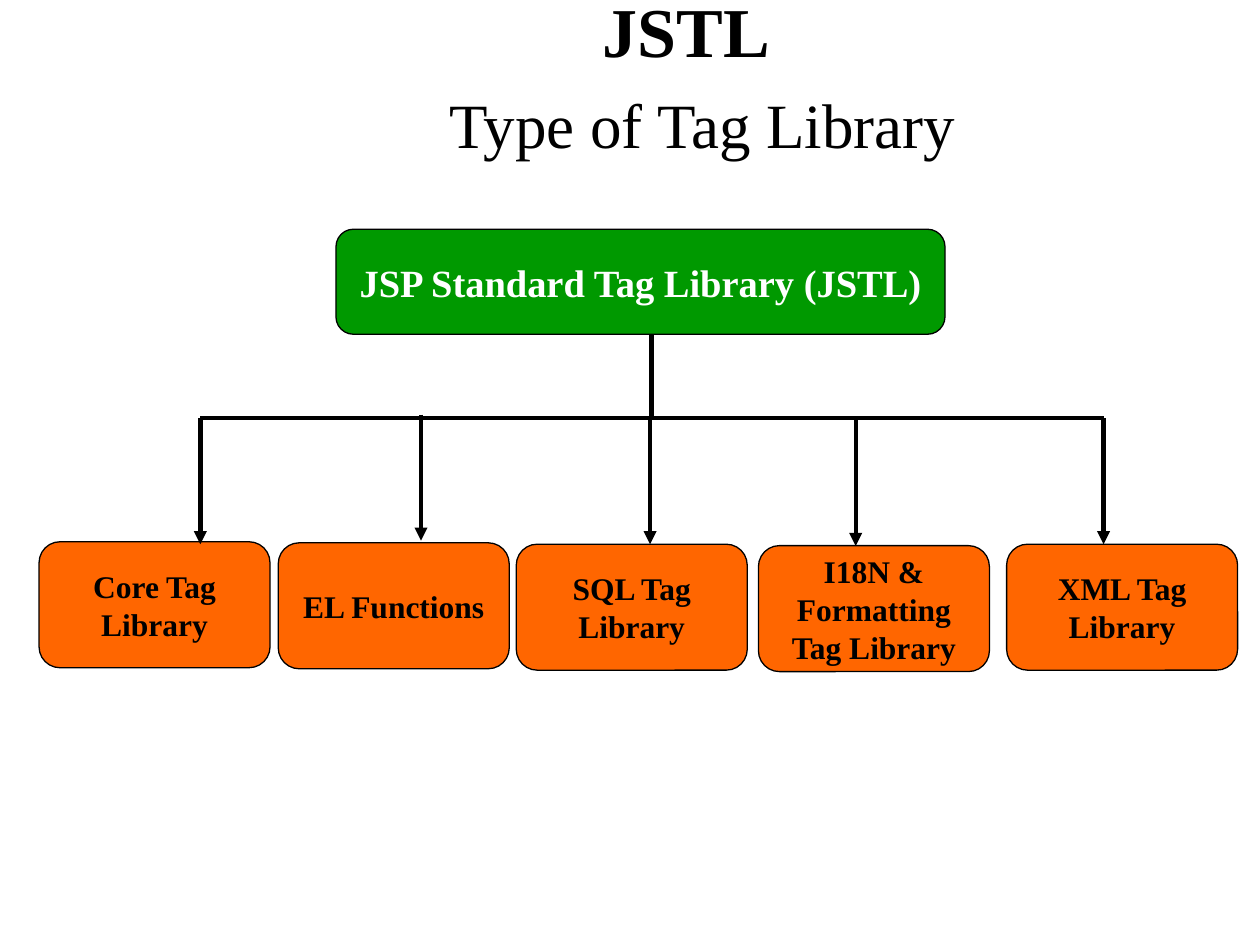
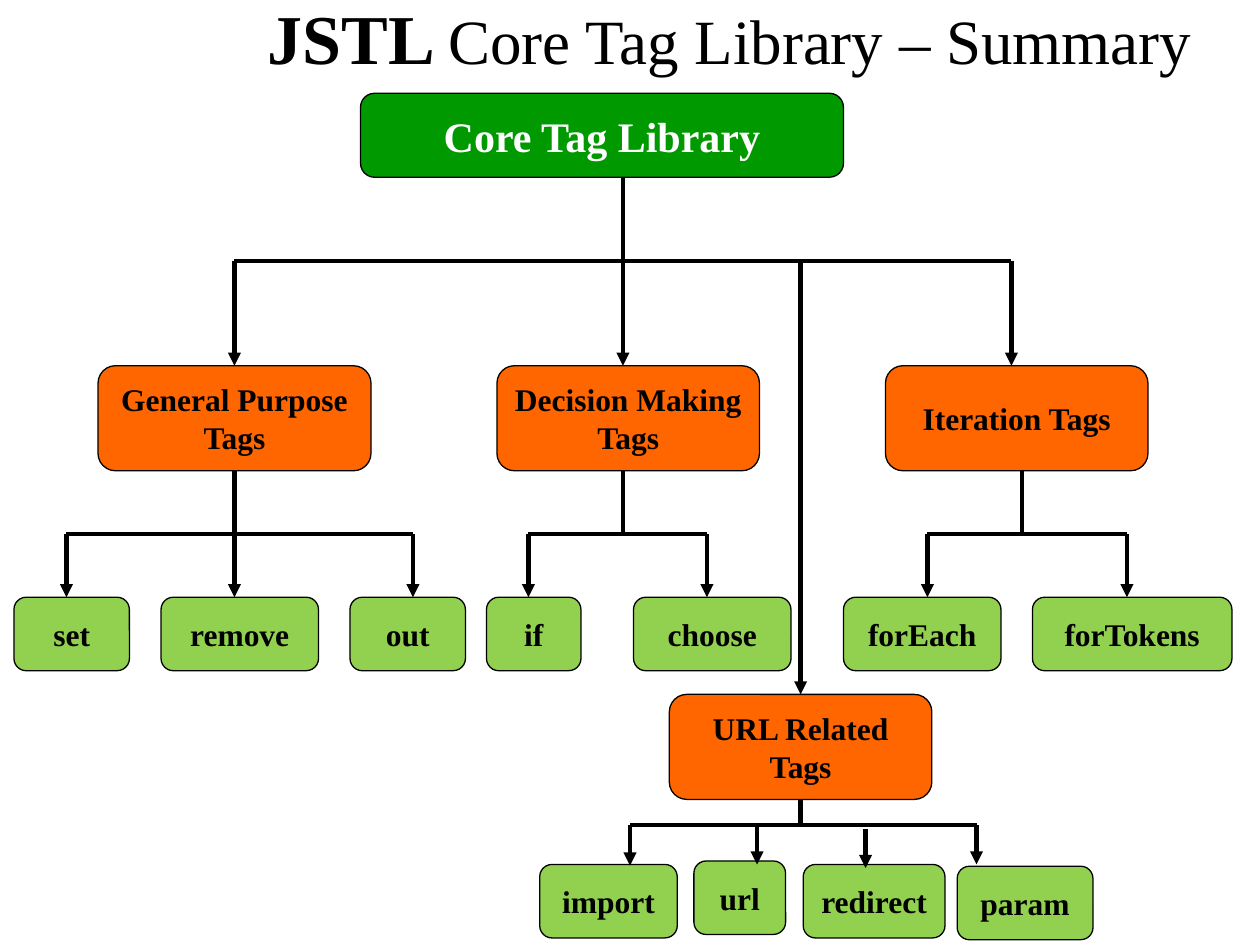
"""Build two slides of tag library tree diagrams."""
from lxml.etree import SubElement
from pptx import Presentation
from pptx.dml.color import RGBColor
from pptx.enum.shapes import MSO_CONNECTOR as Connector, MSO_SHAPE as Shape
from pptx.enum.text import MSO_ANCHOR as Anchor, PP_ALIGN as Align
from pptx.oxml.ns import qn
from pptx.util import Pt

BLACK = RGBColor(0x00, 0x00, 0x00)
WHITE = RGBColor(0xFF, 0xFF, 0xFF)
GREEN = RGBColor(0x00, 0x99, 0x00)
ORANGE = RGBColor(0xFF, 0x66, 0x00)
LIME = RGBColor(0x92, 0xD0, 0x50)
FONT = "Times New Roman"
LINE_WIDTH = 2.5
BREAK = "\n"

LIBRARY_TOP, CATEGORY_TOP, LEAF_TOP = 311, 209, 341.3
LIBRARY_SIZE, CATEGORY_SIZE, LEAF_HEIGHT = (132, 72), (150, 60), 42
LIBRARY_BAR, ROOT_BAR, LEAF_BAR, URL_BAR = 239, 149.3, 305.3, 471.6

LIBRARIES = [
    ("Core Tag Library", 22.3, 309.6),
    ("EL Functions", 159, 310.2),
    ("SQL Tag Library", 295, LIBRARY_TOP),
    ("I18N & Formatting Tag Library", 433.4, 311.8),
    ("XML Tag Library", 575.2, LIBRARY_TOP),
]
CATEGORIES = [
    ("General Purpose Tags", 56, CATEGORY_TOP, 156),
    ("Decision Making Tags", 284, CATEGORY_TOP, 150),
    ("Iteration Tags", 506, CATEGORY_TOP, 150),
    ("URL Related Tags", 382.5, 396.8, 150),
]
LEAVES = [
    ("set", 8, LEAF_TOP, 66),
    ("remove", 92, LEAF_TOP, 90),
    ("out", 200, LEAF_TOP, 66),
    ("if", 278, LEAF_TOP, 54),
    ("choose", 362, LEAF_TOP, 90),
    ("forEach", 482, LEAF_TOP, 90),
    ("forTokens", 590, LEAF_TOP, 114),
    ("import", 308.4, 494, 78.6),
    ("url", 396.5, 492, 52.4),
    ("redirect", 459, 494, 81),
    ("param", 547, 495, 77.6),
]

SLIDES = [
    {
        "title": [("JSTL ", 40, True), (BREAK, 40, True), (" ", 44, True),
                  ("Type of Tag Library", 36, False)],
        "title_place": (72, 0, 648, 87),
        "title_spacing": 1.0,
        "boxes": [("JSP Standard Tag Library (JSTL)", (192, 131, 348, 60), GREEN, WHITE, 22)]
        + [(label, (left, top, *LIBRARY_SIZE), ORANGE, BLACK, 18)
           for label, left, top in LIBRARIES],
        "trees": [
            (372.2, 191, LIBRARY_BAR,
             [(114.5, 239, 311), (240.6, 237, 309), (371.5, 239, 311),
              (489, 240, 312), (630.6, 239, 311)]),
        ],
    },
    {
        "title": [("JSTL ", 40, True), ("Core Tag Library – Summary ", 36, False)],
        "title_place": (123, 0, 597, 50.4),
        "title_spacing": 0.8,
        "boxes": [("Core Tag Library", (206, 53.3, 276, 48), GREEN, WHITE, 24)]
        + [(label, (left, top, width, CATEGORY_SIZE[1]), ORANGE, BLACK, 18)
           for label, left, top, width in CATEGORIES]
        + [(label, (left, top, width, LEAF_HEIGHT), LIME, BLACK, 18)
           for label, left, top, width in LEAVES],
        "trees": [
            (356, 101.3, ROOT_BAR,
             [(x, ROOT_BAR, CATEGORY_TOP) for x in (134, 356, 578)]
             + [(457.5, ROOT_BAR, 396.8)]),
            *[(stem, 269, LEAF_BAR, [(x, LEAF_BAR, LEAF_TOP) for x in drops])
              for stem, drops in [(134, (38, 134, 236)), (356, (302, 404)), (584, (530, 644))]],
            (457.5, 456.8, URL_BAR,
             [(360, URL_BAR, 494.6), (432.6, URL_BAR, 494),
              (494.6, 473.8, 496), (558, URL_BAR, 494)]),
        ],
    },
]


def style_font(font, **values):
    font.color.rgb = values.pop("color")
    for name, value in {"name": FONT, "bold": True, **values}.items():
        setattr(font, name, value)


def add_title(page, spans, place, spacing):
    frame = page.shapes.add_textbox(*map(Pt, place)).text_frame
    frame.word_wrap = True
    frame.vertical_anchor = Anchor.MIDDLE
    para = frame.paragraphs[0]
    para.alignment = Align.CENTER
    para.line_spacing = spacing
    for text, size, bold in spans:
        if text == BREAK:
            para.add_line_break()
            continue
        span = para.add_run()
        span.text = text
        style_font(span.font, size=Pt(size), bold=bold, color=BLACK)


def add_box(page, label, place, fill, color, size):
    box = page.shapes.add_shape(Shape.ROUNDED_RECTANGLE, *map(Pt, place))
    box.shadow.inherit = False
    box.fill.solid()
    box.fill.fore_color.rgb = fill
    box.line.color.rgb = BLACK
    box.line.width = Pt(0.75)
    frame = box.text_frame
    frame.word_wrap = True
    frame.vertical_anchor = Anchor.MIDDLE
    para = frame.paragraphs[0]
    para.alignment = Align.CENTER
    span = para.add_run()
    span.text = label
    style_font(span.font, size=Pt(size), color=color)
    return box


def side_points(box, place):
    left, top, width, height = place
    middle = left + width / 2
    yield (round(middle, 1), round(top, 1)), (box, 0)
    yield (round(middle, 1), round(top + height, 1)), (box, 2)


def add_line(page, start, end, joints, arrow=False):
    line = page.shapes.add_connector(Connector.STRAIGHT, *map(Pt, (*start, *end)))
    line.line.color.rgb = BLACK
    line.line.width = Pt(LINE_WIDTH)
    if arrow:
        SubElement(line.line._get_or_add_ln(), qn("a:tailEnd"), type="triangle")
    SubElement(line._element.spPr, qn("a:effectLst"))
    for point, connect in ((start, line.begin_connect), (end, line.end_connect)):
        if point in joints:
            connect(*joints[point])


def add_tree(page, stem, top, bar, drops, joints):
    columns = [x for x, _, _ in drops]
    add_line(page, (stem, top), (stem, bar), joints)
    add_line(page, (min(columns), bar), (max(columns), bar), joints)
    for x, start, end in drops:
        add_line(page, (x, start), (x, end), joints, arrow=True)


def main():
    deck = Presentation()
    deck.slide_width, deck.slide_height = Pt(720), Pt(540)
    for content in SLIDES:
        page = deck.slides.add_slide(deck.slide_layouts[6])
        add_title(page, content["title"], content["title_place"], content["title_spacing"])
        joints = {}
        for label, place, *look in content["boxes"]:
            box = add_box(page, label, place, *look)
            joints.update(side_points(box, place))
        for tree in content["trees"]:
            add_tree(page, *tree, joints)
    deck.save("out.pptx")


if __name__ == "__main__":
    main()
